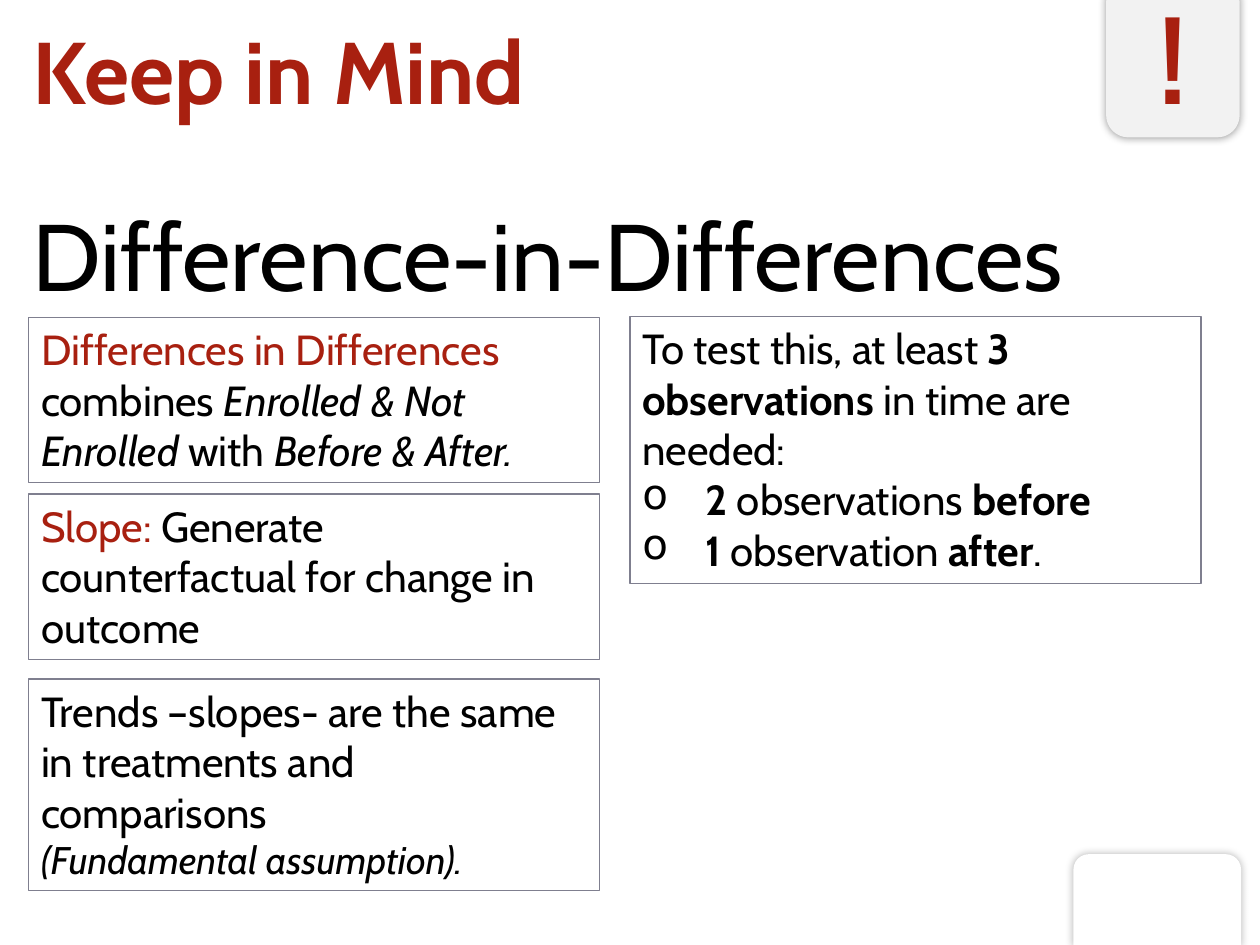
import lxml.etree
import pptx
import pptx.dml.color
import pptx.enum.shapes
import pptx.enum.text
import pptx.oxml.ns
import pptx.util

Cm = pptx.util.Cm
Pt = pptx.util.Pt
SHAPES = pptx.enum.shapes.MSO_SHAPE
ANCHOR = pptx.enum.text.MSO_ANCHOR
ALIGN = pptx.enum.text.PP_ALIGN

RED = pptx.dml.color.RGBColor(0xA8, 0x20, 0x10)
BLACK = pptx.dml.color.RGBColor(0, 0, 0)
WHITE = pptx.dml.color.RGBColor(0xFF, 0xFF, 0xFF)
PALE_GRAY = pptx.dml.color.RGBColor(0xF2, 0xF2, 0xF2)
BORDER = pptx.dml.color.RGBColor(0x7F, 0x7F, 0x8F)


def add_element(parent, tag, **attributes):
    element = lxml.etree.SubElement(parent, pptx.oxml.ns.qn(tag))
    for name, value in attributes.items():
        element.set(name, str(value))
    return element


class SlideBuilder:
    font = "Cabin"
    body_size = 24

    def __init__(self, page):
        self.page = page

    def style(self, span, size=body_size, color=BLACK, bold=False, italic=False):
        span.font.name = self.font
        span.font.size = Pt(size)
        span.font.color.rgb = color
        span.font.bold = bold
        span.font.italic = italic

    def add_spans(self, para, spans):
        """Each span is a text with a dict of style changes."""
        for text, changes in spans:
            span = para.add_run()
            span.text = text
            self.style(span, **changes)

    def title(self, text, left, top, width, height):
        box = self.page.shapes.title
        box.left, box.top, box.width, box.height = map(Cm, (left, top, width, height))
        box.text_frame.text = text
        box.text_frame.vertical_anchor = ANCHOR.MIDDLE
        para = box.text_frame.paragraphs[0]
        para.alignment = ALIGN.LEFT
        self.style(para.runs[0], 50, RED, bold=True)

    def heading(self, text, left, top, width, height):
        box = self.page.shapes.add_textbox(*map(Cm, (left, top, width, height)))
        box.text_frame.word_wrap = False
        self.add_spans(box.text_frame.paragraphs[0], [(text, {"size": 54})])

    def card(self, left, top, width, height, paragraphs, bullets=()):
        box = self.page.shapes.add_shape(SHAPES.RECTANGLE, *map(Cm, (left, top, width, height)))
        box.shadow.inherit = False
        box.fill.background()
        box.line.color.rgb = BORDER
        box.line.width = Pt(0.75)
        frame = box.text_frame
        frame.word_wrap = True
        frame.vertical_anchor = ANCHOR.TOP
        for index, spans in enumerate([*paragraphs, *bullets]):
            para = frame.add_paragraph() if index else frame.paragraphs[0]
            para.alignment = ALIGN.LEFT
            if index >= len(paragraphs):
                self.bullet(para)
            self.add_spans(para, spans)

    def bullet(self, para):
        properties = para._p.get_or_add_pPr()
        properties.set("marL", str(Cm(1.27)))
        properties.set("indent", str(-Cm(1.27)))
        add_element(properties, "a:buChar", char="o")

    def tab(self, kind, left, top, width, height, fill, shadow_percent):
        box = self.page.shapes.add_shape(kind, *map(Cm, (left, top, width, height)))
        box.fill.solid()
        box.fill.fore_color.rgb = fill
        box.line.fill.background()
        box.shadow.inherit = False
        effects = box._element.spPr.find(pptx.oxml.ns.qn("a:effectLst"))
        shadow = add_element(effects, "a:outerShdw", blurRad=Pt(5), dist=0, dir=0,
                             algn="ctr", rotWithShape=0)
        color = add_element(shadow, "a:srgbClr", val=str(BLACK))
        add_element(color, "a:alpha", val=shadow_percent * 1000)
        return box

    def symbol(self, box, text):
        frame = box.text_frame
        frame.vertical_anchor = ANCHOR.MIDDLE
        para = frame.paragraphs[0]
        para.alignment = ALIGN.CENTER
        self.add_spans(para, [(text, {"size": 66, "color": RED, "bold": True})])


def main():
    deck = pptx.Presentation()
    deck.slide_width, deck.slide_height = Cm(25.4), Cm(19.05)
    builder = SlideBuilder(deck.slides.add_slide(deck.slide_layouts[5]))
    red, bold, italic = {"color": RED}, {"bold": True}, {"italic": True}

    # Corner tab and headings
    builder.tab(SHAPES.ROUND_2_SAME_RECTANGLE, 21.64, 17.22, 3.38, 1.85, WHITE, 30)
    builder.title("Keep in Mind", 0.41, 0.2, 21.03, 2.39)
    builder.heading("Difference-in-Differences", 0.41, 3.84, 21.74, 2.57)

    # Left column of cards
    left, width = 0.58, 11.51
    cards = [
        (6.4, 3.33, [[("Differences in Differences ", red), ("combines ", {}),
                      ("Enrolled & Not Enrolled ", italic), ("with ", {}),
                      ("Before & After.", italic)]]),
        (9.96, 3.33, [[("Slope: ", red),
                       ("Generate counterfactual for change in outcome", {})]]),
        (13.69, 4.27, [[("Trends –slopes- are the same in treatments and comparisons", {})],
                       [("(Fundamental assumption).", {"size": 22, "italic": True})]]),
    ]
    for top, height, paragraphs in cards:
        builder.card(left, top, width, height, paragraphs)

    # Right card with the required observations
    builder.card(
        12.7, 6.38, width, 5.38,
        [[("To test this, at least ", {}), ("3 observations ", bold),
          ("in time are needed:", {})]],
        bullets=[
            [("2", bold), (" observations ", {}), ("before", bold)],
            [("1", bold), (" observation ", {}), ("after", bold), (".", {})],
        ])

    # Attention tab
    attention = builder.tab(SHAPES.ROUNDED_RECTANGLE, 22.3, -0.41, 2.69, 3.18, PALE_GRAY, 40)
    builder.symbol(attention, "!")

    deck.save("out.pptx")


if __name__ == "__main__":
    main()
